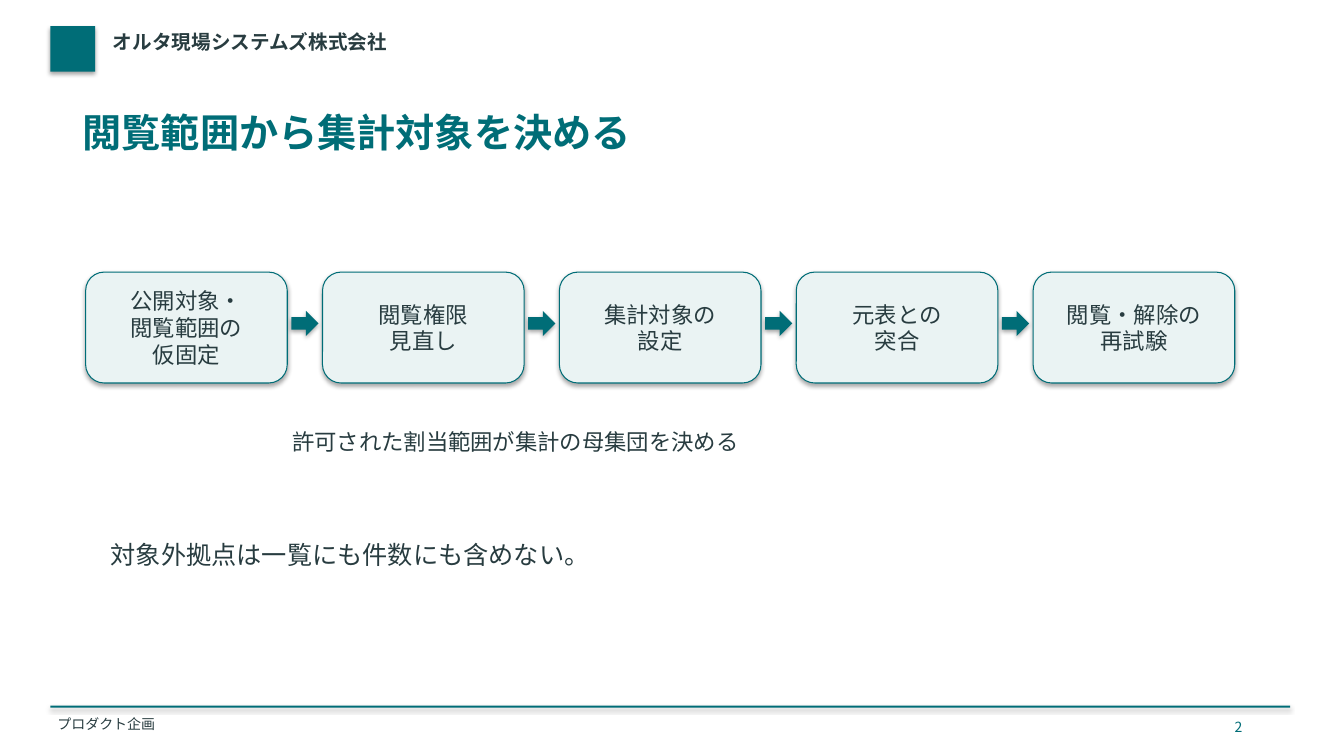
from pptx import Presentation
from pptx.dml.color import RGBColor
from pptx.enum.shapes import MSO_SHAPE
from pptx.enum.text import MSO_ANCHOR, PP_ALIGN
from pptx.oxml.ns import qn
from pptx.util import Pt
from lxml import etree

TEAL = RGBColor(0x00, 0x6D, 0x77)
PALE_TEAL = RGBColor(0xEA, 0xF3, 0xF3)
INK = RGBColor(0x28, 0x3C, 0x40)
RECTANGLE = MSO_SHAPE.RECTANGLE
ROUNDED = MSO_SHAPE.ROUNDED_RECTANGLE
ARROW = MSO_SHAPE.RIGHT_ARROW
MIDDLE, TOP = MSO_ANCHOR.MIDDLE, MSO_ANCHOR.TOP
CENTER, LEFT = PP_ALIGN.CENTER, PP_ALIGN.LEFT


class SlideBuilder:
    font_name = "Noto Sans CJK JP"

    def __init__(self, slide):
        self.slide = slide

    def set_lines(self, frame, lines, size, color=INK, bold=False, align=LEFT):
        for i, line in enumerate(lines):
            paragraph = frame.paragraphs[0] if i == 0 else frame.add_paragraph()
            paragraph.text = line
            paragraph.alignment = align
            font = paragraph.font
            font.name = self.font_name
            font.size = Pt(size)
            font.bold = bold
            font.color.rgb = color
            # Japanese glyphs take the East Asian typeface
            defaults = paragraph._p.pPr.find(qn("a:defRPr"))
            etree.SubElement(defaults, qn("a:ea"), typeface=self.font_name)

    def label(self, text, left, top, width, height, size, inset=None, **style):
        box = self.slide.shapes.add_textbox(Pt(left), Pt(top), Pt(width), Pt(height))
        frame = box.text_frame
        frame.word_wrap = True
        frame.vertical_anchor = TOP
        if inset is not None:
            frame.margin_left = frame.margin_right = Pt(inset)
            frame.margin_top = frame.margin_bottom = Pt(inset)
        self.set_lines(frame, [text], size, **style)

    def shape(self, kind, left, top, width, height, fill=TEAL, outline=None):
        """The theme's soft shadow is kept on every shape."""
        shape = self.slide.shapes.add_shape(
            kind, Pt(left), Pt(top), Pt(width), Pt(height))
        shape.fill.solid()
        shape.fill.fore_color.rgb = fill
        if outline is None:
            shape.line.fill.background()
        else:
            shape.line.color.rgb = outline
            shape.line.width = Pt(0.75)
        return shape

    def step(self, lines, left, top, width, height):
        card = self.shape(ROUNDED, left, top, width, height, PALE_TEAL, TEAL)
        card.text_frame.word_wrap = True
        card.text_frame.vertical_anchor = MIDDLE
        self.set_lines(card.text_frame, lines, 16, align=CENTER)


STEPS = [
    ["公開対象・", "閲覧範囲の", "仮固定"],
    ["閲覧権限", "見直し"],
    ["集計対象の", "設定"],
    ["元表との", "突合"],
    ["閲覧・解除の", "再試験"],
]
STEP_LEFT, STEP_TOP, STEP_WIDTH, STEP_HEIGHT = 61.2, 194.4, 144, 79.2
STEP_PITCH = 169.2
ARROW_GAP, ARROW_TOP, ARROW_WIDTH, ARROW_HEIGHT = 2.88, 222, 19.44, 18


def main():
    presentation = Presentation()
    presentation.slide_width, presentation.slide_height = Pt(960), Pt(540)
    blank = presentation.slide_layouts[6]
    builder = SlideBuilder(presentation.slides.add_slide(blank))

    # Header: plain mark and company name
    builder.shape(RECTANGLE, 36, 18.72, 32, 32.4)
    builder.label("オルタ現場システムズ株式会社", 79.2, 20.16, 720, 28.8, 14,
                  inset=1.44, bold=True)

    # Footer
    builder.shape(RECTANGLE, 36, 504, 885.6, 1.44)
    builder.label("プロダクト企画", 39.6, 509.76, 648, 15.84, 10, inset=1.44)
    builder.label("2", 874.8, 509.76, 36, 15.84, 10, color=TEAL)

    # Title
    builder.label("閲覧範囲から集計対象を決める", 57.6, 75.6, 842.4, 54, 28,
                  inset=1.44, color=TEAL, bold=True)

    # Process steps, with an arrow before each one but the first
    for i, lines in enumerate(STEPS):
        left = STEP_LEFT + i * STEP_PITCH
        if i:
            arrow_left = left - STEP_PITCH + STEP_WIDTH + ARROW_GAP
            builder.shape(ARROW, arrow_left, ARROW_TOP, ARROW_WIDTH, ARROW_HEIGHT)
        builder.step(lines, left, STEP_TOP, STEP_WIDTH, STEP_HEIGHT)

    # Explanations
    builder.label("許可された割当範囲が集計の母集団を決める", 201.6, 302.4, 360, 46.8, 16)
    builder.label("対象外拠点は一覧にも件数にも含めない。", 72, 381.6, 777.6, 43.2, 18)

    presentation.save("out.pptx")


if __name__ == "__main__":
    main()
